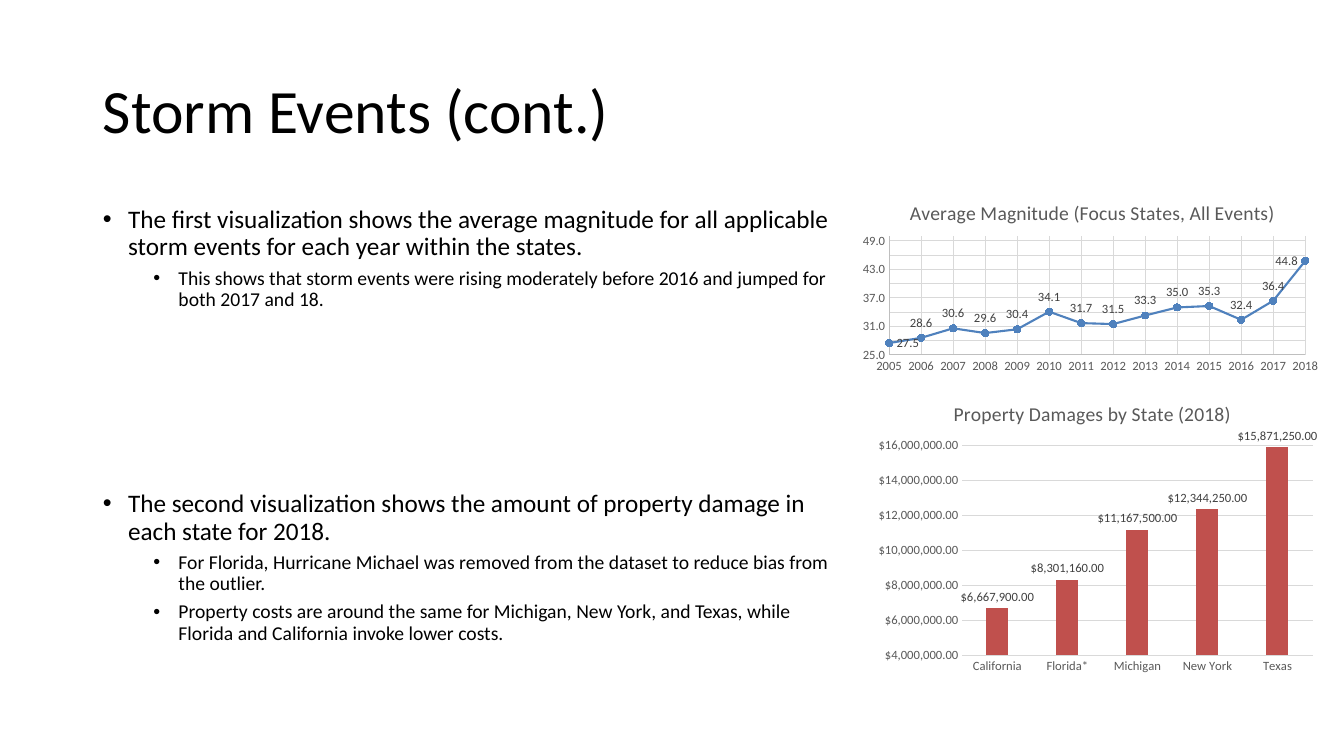
from lxml import etree
from pptx import Presentation
from pptx import util as u
from pptx.chart.data import CategoryChartData, XyChartData
from pptx.dml.color import RGBColor
from pptx.enum import chart as ch, text
from pptx.oxml import parse_xml
from pptx.oxml.ns import nsdecls, qn

BLACK = RGBColor(0x00, 0x00, 0x00)
TITLE_GRAY = RGBColor(0x59, 0x59, 0x59)
LABEL_GRAY = RGBColor(0x40, 0x40, 0x40)
GRID_GRAY = RGBColor(0xD9, 0xD9, 0xD9)
AXIS_GRAY = RGBColor(0xBF, 0xBF, 0xBF)
BLUE = RGBColor(0x4F, 0x81, 0xBD)
RED = RGBColor(0xC0, 0x50, 0x4D)
FONT = "Calibri"

HEADING_BOX = (0.92, 0.4, 11.5, 1.45)
FINDINGS_BOX = (0.92, 2, 7.57, 5.3)
MAGNITUDE_BOX = (8.49, 1.85, 4.69, 1.9)
DAMAGES_BOX = (8.57, 3.82, 4.53, 2.92)

FIRST_YEAR = 2005
MAGNITUDES = [27.5, 28.6, 30.6, 29.6, 30.4, 34.1, 31.7,
              31.5, 33.3, 35.0, 35.3, 32.4, 36.4, 44.8]
DAMAGES = {"California": 6667900, "Florida*": 8301160, "Michigan": 11167500,
           "New York": 12344250, "Texas": 15871250}
FINDINGS = [
    (0, 10, "The first visualization shows the average magnitude for all "
            "applicable storm events for each year within the states."),
    (1, 5, "This shows that storm events were rising moderately before 2016 "
           "and jumped for both 2017 and 18."),
    (0, 129, "The second visualization shows the amount of property damage in "
             "each state for 2018."),
    (1, 5, "For Florida, Hurricane Michael was removed from the dataset to "
           "reduce bias from the outlier."),
    (1, 5, "Property costs are around the same for Michigan, New York, and "
           "Texas, while Florida and California invoke lower costs."),
]


def inches(box):
    return [u.Inches(length) for length in box]


def place(part, box):
    part.left, part.top, part.width, part.height = inches(box)


def style_font(font, size, color):
    font.name = FONT
    font.size = u.Pt(size)
    font.bold = False
    font.color.rgb = color


def style_line(line, color, width=0.75):
    line.color.rgb = color
    line.width = u.Pt(width)


def add_heading(slide, box):
    heading = slide.shapes.title
    place(heading, box)
    frame = heading.text_frame
    frame.text = "Storm Events (cont.)"
    frame.auto_size = text.MSO_AUTO_SIZE.NONE
    frame.vertical_anchor = text.MSO_ANCHOR.MIDDLE
    line = frame.paragraphs[0]
    line.alignment = text.PP_ALIGN.LEFT
    line.line_spacing = 0.9
    style_font(line.runs[0].font, 44, BLACK)


def add_findings(slide, box):
    findings = slide.placeholders[1]
    place(findings, box)
    frame = findings.text_frame
    frame.auto_size = text.MSO_AUTO_SIZE.NONE
    frame.text = "\n".join(wording for _, _, wording in FINDINGS)
    for finding, (level, gap, _) in zip(frame.paragraphs, FINDINGS):
        finding.level = level
        finding.line_spacing = 0.9
        finding.space_before = u.Pt(gap)
        style_font(finding.runs[0].font, 14 if level else 18, BLACK)
        properties = finding._p.get_or_add_pPr()
        properties.set("marL", str(u.Inches(0.25 + 0.5 * level)))
        properties.set("indent", str(u.Inches(-0.25)))
        etree.SubElement(properties, qn("a:buFont")).set("typeface", "Arial")
        etree.SubElement(properties, qn("a:buChar")).set("char", "•")


def style_axis(axis, line_color, number_format=None, gridlines=True):
    axis.major_tick_mark = axis.minor_tick_mark = ch.XL_TICK_MARK.NONE
    style_font(axis.tick_labels.font, 9, TITLE_GRAY)
    if number_format:
        axis.tick_labels.number_format = number_format
        axis.tick_labels.number_format_is_linked = False
    axis.has_major_gridlines = gridlines
    if gridlines:
        style_line(axis.major_gridlines.format.line, GRID_GRAY)
    if line_color is None:
        axis.format.line.fill.background()
    else:
        style_line(axis.format.line, line_color)


def add_chart(slide, box, kind, data, title, plot_share):
    chart = slide.shapes.add_chart(kind, *inches(box), data).chart
    style_font(chart.font, 10, BLACK)
    chart.has_legend = False
    chart.has_title = True
    chart.chart_title.include_in_layout = False
    heading = chart.chart_title.text_frame
    heading.text = title
    style_font(heading.paragraphs[0].runs[0].font, 14, TITLE_GRAY)
    chart.plots[0].vary_by_categories = False
    shares = "".join(f'<c:{name} val="{share}"/>'
                     for name, share in zip("xywh", plot_share))
    layout = parse_xml(
        f'<c:layout {nsdecls("c")}><c:manualLayout><c:layoutTarget val="inner"/>'
        '<c:xMode val="edge"/><c:yMode val="edge"/>'
        f'{shares}</c:manualLayout></c:layout>')
    plot_area = chart._chartSpace.chart.plotArea
    for automatic in plot_area.findall(qn("c:layout")):
        plot_area.remove(automatic)
    plot_area.insert(0, layout)
    return chart


def add_magnitude_chart(slide, box):
    data = XyChartData(number_format="0.0")
    points = data.add_series("Series 1")
    for year, magnitude in enumerate(MAGNITUDES, FIRST_YEAR):
        points.add_data_point(year, magnitude)
    chart = add_chart(slide, box, ch.XL_CHART_TYPE.XY_SCATTER_LINES, data,
                      "Average Magnitude (Focus States, All Events)",
                      (0.07, 0.26, 0.88, 0.62))

    years, magnitudes = chart.category_axis, chart.value_axis
    years.minimum_scale = FIRST_YEAR
    years.maximum_scale = FIRST_YEAR + len(MAGNITUDES) - 1
    years.major_unit = 1
    magnitudes.minimum_scale, magnitudes.maximum_scale = 25, 50
    magnitudes.major_unit = 3
    style_axis(years, AXIS_GRAY, "0")
    style_axis(magnitudes, AXIS_GRAY, "0.0")

    trend = chart.plots[0].series[0]
    trend.smooth = False
    style_line(trend.format.line, BLUE, 1.5)
    trend.marker.style = ch.XL_MARKER_STYLE.CIRCLE
    trend.marker.size = 5
    trend.marker.format.fill.solid()
    trend.marker.format.fill.fore_color.rgb = BLUE
    style_line(trend.marker.format.line, BLUE)
    sides = {0: ch.XL_LABEL_POSITION.RIGHT,
             len(MAGNITUDES) - 1: ch.XL_LABEL_POSITION.LEFT}
    for index in range(len(MAGNITUDES)):
        label = trend.points[index].data_label
        style_font(label.font, 9, LABEL_GRAY)
        label.position = sides.get(index, ch.XL_LABEL_POSITION.ABOVE)


def add_damages_chart(slide, box):
    dollars = '"$"#,##0.00'
    data = CategoryChartData(number_format=dollars)
    data.categories = list(DAMAGES)
    data.add_series("Series 1", list(DAMAGES.values()))
    chart = add_chart(slide, box, ch.XL_CHART_TYPE.COLUMN_CLUSTERED, data,
                      "Property Damages by State (2018)",
                      (0.215, 0.204, 0.767, 0.714))

    costs = chart.value_axis
    costs.minimum_scale, costs.maximum_scale = 4000000, 16000000
    costs.major_unit = 2000000
    style_axis(chart.category_axis, GRID_GRAY, gridlines=False)
    style_axis(costs, None, dollars)

    columns = chart.plots[0]
    columns.gap_width, columns.overlap = 219, -27
    states = columns.series[0]
    states.format.fill.solid()
    states.format.fill.fore_color.rgb = RED
    labels = states.data_labels
    labels.show_value = True
    labels.position = ch.XL_LABEL_POSITION.OUTSIDE_END
    labels.number_format = dollars
    labels.number_format_is_linked = False
    style_font(labels.font, 9, LABEL_GRAY)


def main():
    deck = Presentation()
    deck.slide_width, deck.slide_height = u.Inches(13.33), u.Inches(7.5)
    slide = deck.slides.add_slide(deck.slide_layouts[1])
    add_heading(slide, HEADING_BOX)
    add_findings(slide, FINDINGS_BOX)
    add_magnitude_chart(slide, MAGNITUDE_BOX)
    add_damages_chart(slide, DAMAGES_BOX)
    deck.save("out.pptx")


if __name__ == "__main__":
    main()
